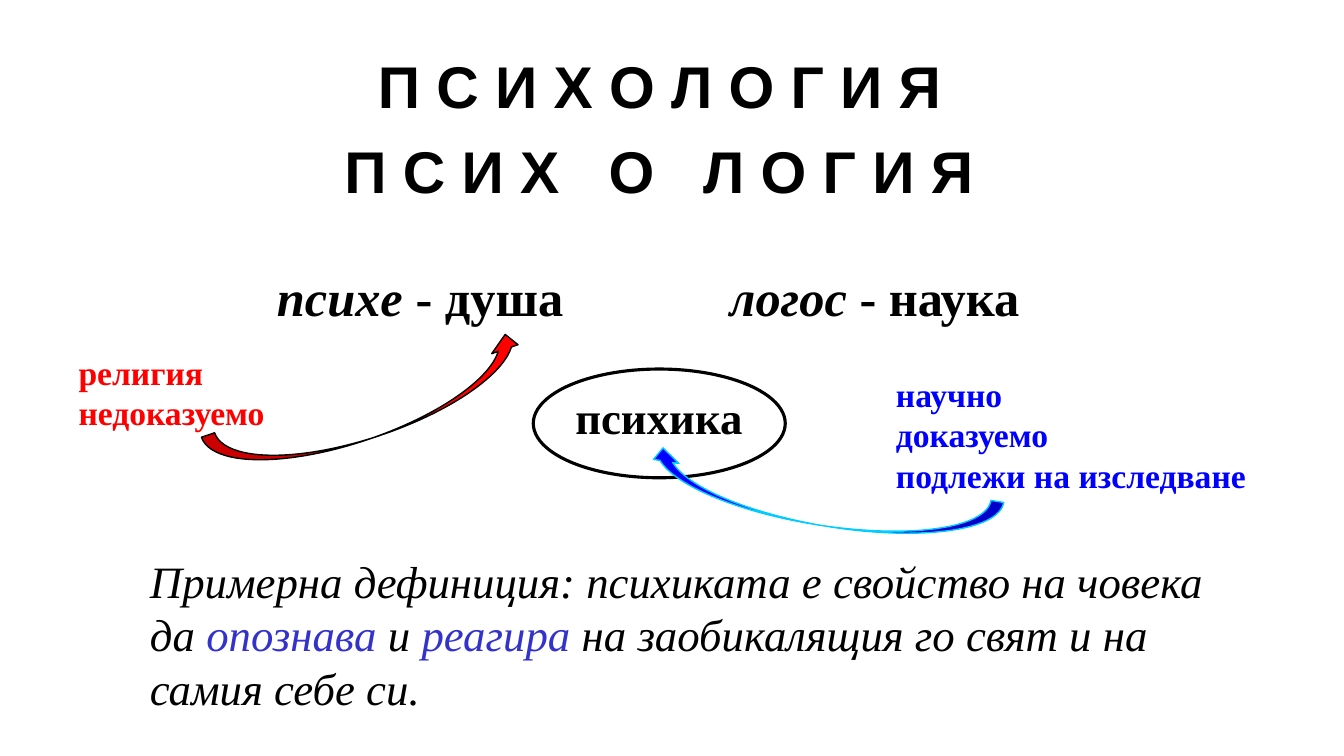
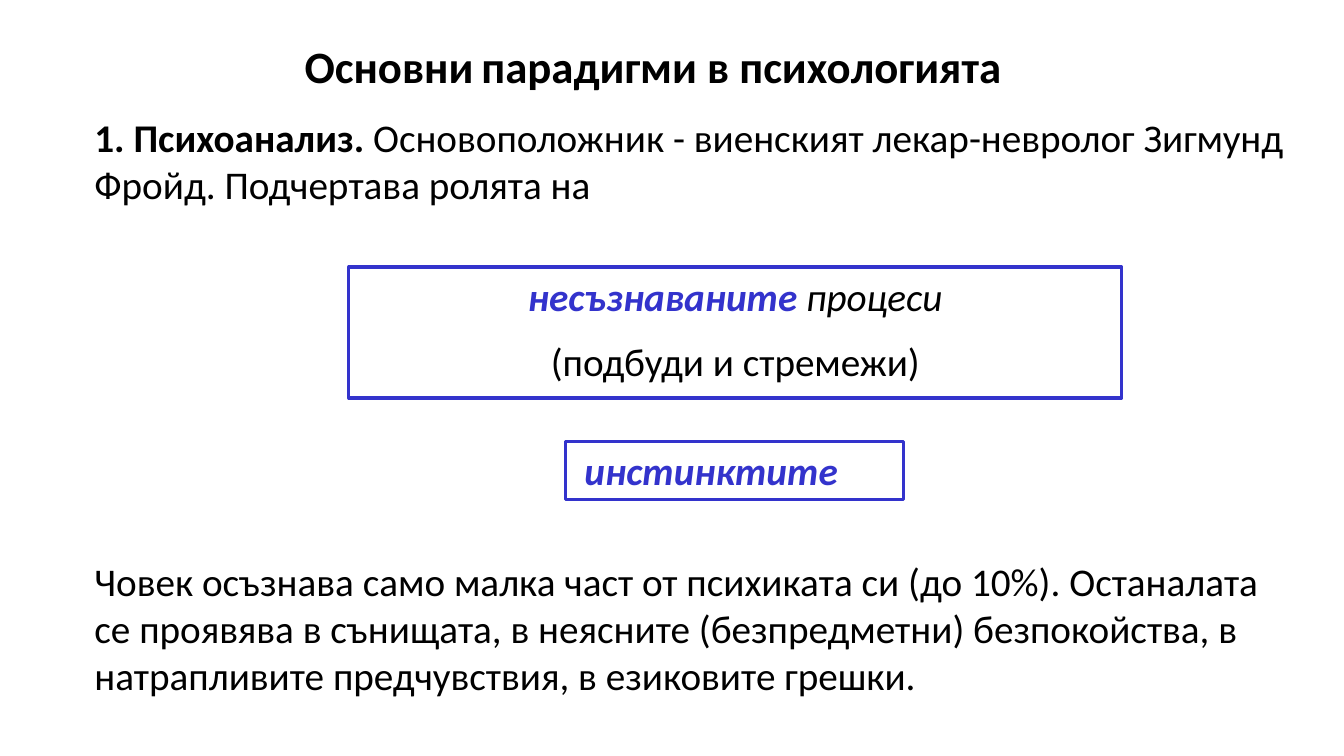
from dataclasses import dataclass, replace
from typing import NamedTuple, Optional

from pptx import Presentation
from pptx.dml.color import RGBColor
from pptx.enum.shapes import MSO_SHAPE as Preset
from pptx.enum.text import MSO_ANCHOR as Anchor, MSO_AUTO_SIZE as AutoSize, PP_ALIGN as Align
from pptx.util import Cm, Pt

BLACK = RGBColor(0x00, 0x00, 0x00)
WHITE = RGBColor(0xFF, 0xFF, 0xFF)
RED = RGBColor(0xFF, 0x00, 0x00)
BLUE = RGBColor(0x00, 0x00, 0xFF)
SKY = RGBColor(0x00, 0xCC, 0xFF)
INDIGO = RGBColor(0x33, 0x33, 0xCC)

TITLE_ONLY = 5
FRAME_WIDTH = 2.25


class Area(NamedTuple):
    """Position and size in centimetres."""
    left: float
    top: float
    width: float
    height: float


@dataclass(frozen=True)
class Style:
    font: str
    size: float
    color: RGBColor = BLACK
    bold: bool = False
    italic: bool = False
    align: Align = Align.LEFT
    space_between: float = 0


@dataclass(frozen=True)
class Span:
    """A run; only what differs from the paragraph is given."""
    text: str
    color: Optional[RGBColor] = None
    bold: Optional[bool] = None
    italic: Optional[bool] = None
    size: Optional[float] = None
    spacing: Optional[float] = None


@dataclass(frozen=True)
class CurvedArrow:
    area: Area
    rotation: float
    fill: RGBColor
    line: RGBColor
    mirrored: bool = False


HEADLINE = Style("Arial", 42, bold=True, align=Align.CENTER)
TERM = Style("Times New Roman", 36, bold=True)
CORE = Style("Times New Roman", 32, bold=True, align=Align.CENTER)
DEFINITION = Style("Times New Roman", 32, italic=True)
REMARK = Style("Times New Roman", 24, bold=True)
TOPIC = Style("Calibri", 32, bold=True)
BODY = Style("Calibri", 28)
KEY = replace(BODY, align=Align.CENTER, space_between=13)

WIDE_GAP = Span(" ", spacing=23.3)


def write(frame, style: Style, *lines: list[Span]) -> None:
    frame.word_wrap = True
    frame.auto_size = AutoSize.NONE
    frame.vertical_anchor = Anchor.TOP
    for index, line in enumerate(lines):
        para = frame.paragraphs[0] if index == 0 else frame.add_paragraph()
        para.alignment = style.align
        if index and style.space_between:
            para.space_before = Pt(style.space_between)
        font = para.font
        font.name, font.size = style.font, Pt(style.size)
        font.bold, font.italic = style.bold, style.italic
        font.color.rgb = style.color
        for span in line:
            run = para.add_run()
            run.text = span.text
            if span.color is not None:
                run.font.color.rgb = span.color
            if span.bold is not None:
                run.font.bold = span.bold
            if span.italic is not None:
                run.font.italic = span.italic
            if span.size is not None:
                run.font.size = Pt(span.size)
            if span.spacing is not None:
                run.font._element.set("spc", str(round(span.spacing * 100)))


def add_titled_page(deck, area: Area, style: Style, *title: Span):
    page = deck.slides.add_slide(deck.slide_layouts[TITLE_ONLY])
    holder = page.shapes.title
    holder.left, holder.top, holder.width, holder.height = map(Cm, area)
    write(holder.text_frame, style, list(title))
    return page


def add_text(page, area: Area, style: Style, *lines: list[Span]):
    box = page.shapes.add_textbox(*map(Cm, area))
    write(box.text_frame, style, *lines)
    return box


def add_framed_text(page, area: Area, style: Style, *lines: list[Span]):
    box = add_text(page, area, style, *lines)
    box.line.color.rgb = INDIGO
    box.line.width = Pt(FRAME_WIDTH)
    return box


def add_shape(page, preset: Preset, area: Area, fill: RGBColor, line: RGBColor, width: float):
    shape = page.shapes.add_shape(preset, *map(Cm, area))
    shape.shadow.inherit = False
    shape.fill.solid()
    shape.fill.fore_color.rgb = fill
    shape.line.color.rgb = line
    shape.line.width = Pt(width)
    return shape


def add_curved_arrow(page, arrow: CurvedArrow) -> None:
    shape = add_shape(page, Preset.CURVED_UP_ARROW, arrow.area, arrow.fill, arrow.line, 1)
    shape.rotation = arrow.rotation
    if arrow.mirrored:
        shape._element.spPr.xfrm.set("flipH", "1")


def build_word_origin(deck) -> None:
    page = add_titled_page(deck, Area(8.05, 1.12, 17.15, 2.06), HEADLINE,
                           Span("П С И Х О Л О Г И Я"))
    add_text(page, Area(8.03, 3.28, 17.15, 2.06), HEADLINE,
             [Span("П С И Х"), WIDE_GAP, Span("О"), WIDE_GAP, Span("Л О Г И Я")])
    add_text(page, Area(6.73, 6.58, 9.14, 1.8), TERM,
             [Span("психе", italic=True), Span(" - душа")])
    add_text(page, Area(18.14, 6.58, 7.82, 1.8), TERM,
             [Span("логос", italic=True), Span(" - наука")])
    add_shape(page, Preset.OVAL, Area(13.44, 9.3, 6.35, 2.74), WHITE, BLACK, FRAME_WIDTH)
    add_text(page, Area(13.97, 9.7, 5.28, 1.6), CORE, [Span("психика")])
    add_text(page, Area(3.53, 13.82, 27.61, 4.37), DEFINITION, [
        Span("Примерна дефиниция: психиката е свойство на човека да "),
        Span("опознава", INDIGO),
        Span(" и "),
        Span("реагира ", INDIGO),
        Span("на заобикалящия го свят и на самия себе си."),
    ])
    add_text(page, Area(1.73, 8.74, 5.99, 2.31), replace(REMARK, color=RED),
             [Span("религия")], [Span("недоказуемо")])
    add_text(page, Area(22.33, 9.3, 10.21, 3.33), replace(REMARK, color=BLUE),
             [Span("научно")], [Span("доказуемо")], [Span("подлежи на изследване")])
    for arrow in (
        CurvedArrow(Area(5.08, 9.63, 8.43, 1.4), 341.3, RED, BLACK),
        CurvedArrow(Area(16.23, 11.94, 9.02, 1.3), 9.1, BLUE, SKY, mirrored=True),
    ):
        add_curved_arrow(page, arrow)


def build_paradigms(deck) -> None:
    page = add_titled_page(deck, Area(7.42, 0.84, 22.23, 1.6), TOPIC,
                           Span("Основни"), Span(" ", size=24),
                           Span("парадигми в психологията"))
    add_text(page, Area(2.13, 2.74, 30.61, 2.64), BODY, [
        Span("1. Психоанализ.", bold=True),
        Span(" Основоположник - виенският лекар-невролог Зигмунд Фройд. "
             "Подчертава ролята на"),
    ])
    add_text(page, Area(2.13, 13.92, 30.81, 3.84), BODY, [
        Span("Човек осъзнава само малка част от психиката си (до 10%). Останалата "
             "се проявява в сънищата, в неясните (безпредметни) безпокойства, "
             "в натрапливите предчувствия, в езиковите грешки."),
    ])
    add_framed_text(page, Area(8.79, 6.73, 19.48, 3.3), KEY,
                    [Span("несъзнаваните", INDIGO, bold=True, italic=True),
                     Span(" процеси", italic=True)],
                    [Span("(подбуди и стремежи)")])
    instincts = add_framed_text(page, Area(14.25, 11.13, 8.53, 1.45),
                                replace(BODY, color=INDIGO, bold=True, italic=True),
                                [Span("инстинктите")])
    instincts.text_frame.margin_left = Cm(0.48)


def main() -> None:
    deck = Presentation()
    deck.slide_width, deck.slide_height = Cm(33.87), Cm(19.05)
    build_word_origin(deck)
    build_paradigms(deck)
    deck.save("out.pptx")


if __name__ == "__main__":
    main()
